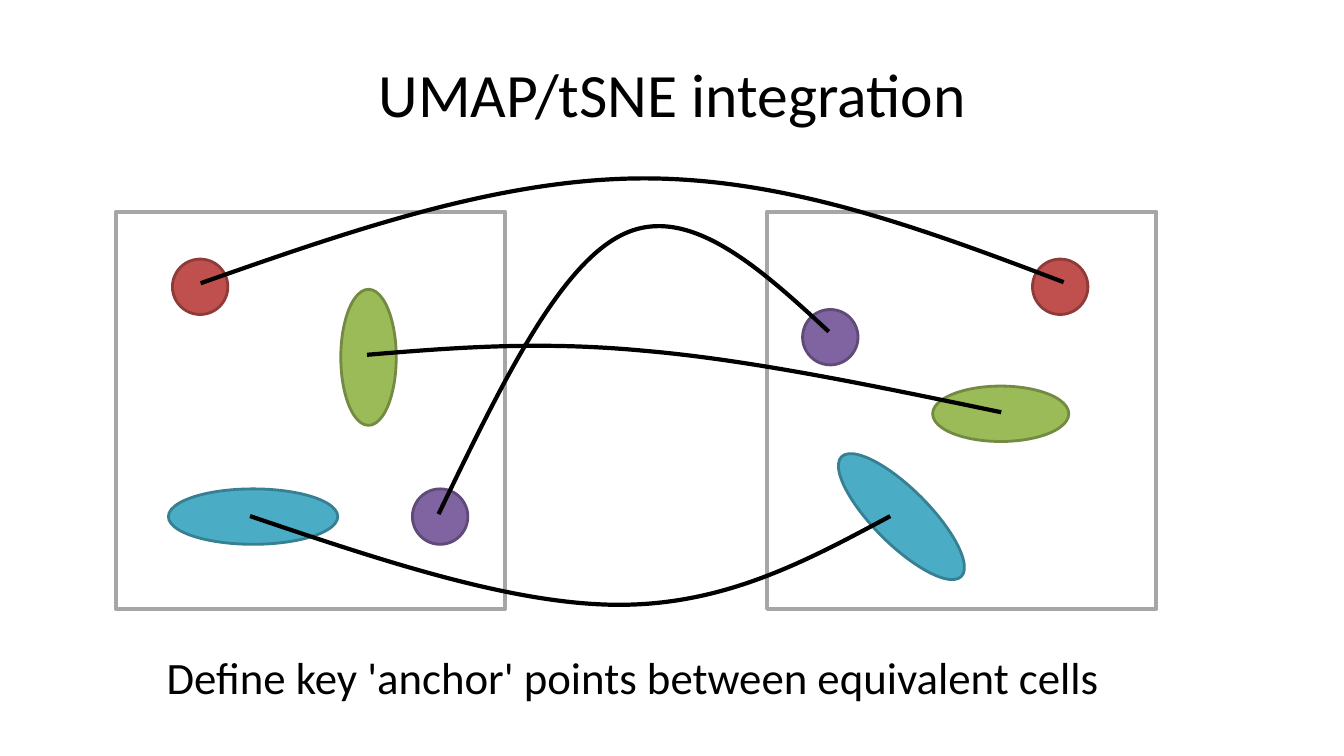
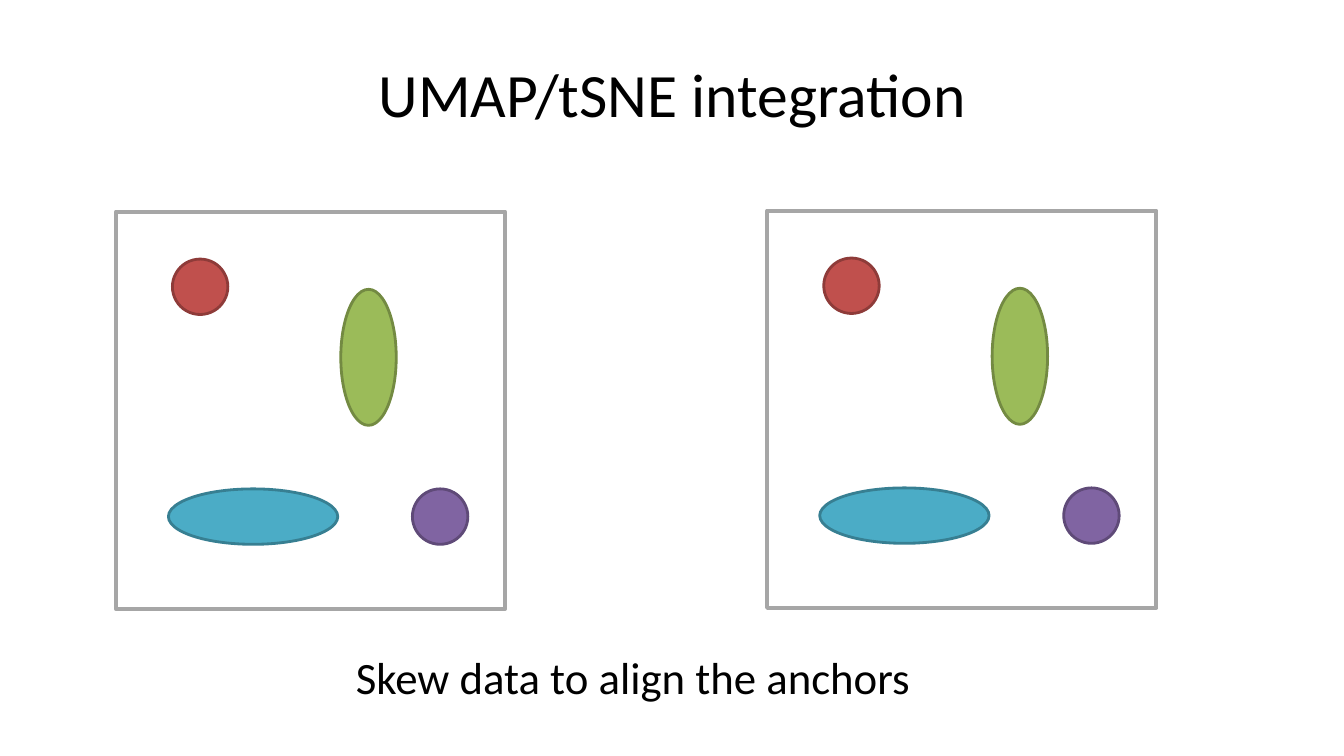
from dataclasses import dataclass

from lxml import etree
from pptx import Presentation
from pptx import util as u
from pptx.dml.color import RGBColor
from pptx.enum import shapes, text
from pptx.oxml.ns import qn


@dataclass(frozen=True)
class Theme:
    font: str = "Calibri"
    title_size: int = 44
    caption_size: int = 32
    panel_line: int = 3
    cluster_line: int = 2
    ink: str = "000000"
    paper: str = "FFFFFF"
    frame: str = "A6A6A6"
    red: tuple = ("C0504D", "8E3B39")
    green: tuple = ("9BBB59", "738A42")
    blue: tuple = ("4BACC6", "377F92")
    purple: tuple = ("8064A2", "5F4A78")


THEME = Theme()
TITLE = "UMAP/tSNE integration"
LEFT_PANEL, RIGHT_PANEL = (1.15, 2.1), (7.61, 2.1)
ALIGNED_PANEL = (7.61, 2.09)
PANEL_SIZE = (3.86, 3.94)
DOT, OVAL, LONG = 0.55, 1.35, 1.68

REFERENCE = [
    (THEME.red, 0.56, 0.47, DOT, DOT, 0),
    (THEME.green, 2.23, 0.77, DOT, OVAL, 0),
    (THEME.blue, 0.52, 2.75, LONG, DOT, 0),
    (THEME.purple, 2.94, 2.75, DOT, DOT, 0),
]
SKEWED = [
    (THEME.red, 2.63, 0.47, DOT, DOT, 0),
    (THEME.green, 2.04, 1.33, DOT, OVAL, 270),
    (THEME.blue, 0.49, 2.75, LONG, DOT, 45),
    (THEME.purple, 0.35, 0.97, DOT, DOT, 0),
]
ANCHORS = [
    [(1.99, 2.81), (3.47, 2.29), (4.96, 1.77), (6.39, 1.77),
     (7.82, 1.77), (9.18, 2.28), (10.55, 2.8)],
    [(3.64, 3.52), (4.49, 3.45), (5.34, 3.38), (6.39, 3.48),
     (7.44, 3.57), (8.68, 3.83), (9.93, 4.09)],
    [(4.35, 5.1), (4.95, 3.86), (5.54, 2.62), (6.19, 2.32),
     (6.83, 2.02), (7.53, 2.65), (8.22, 3.29)],
    [(2.48, 5.12), (3.78, 5.56), (5.09, 6), (6.14, 6),
     (7.2, 6), (8.01, 5.56), (8.83, 5.12)],
]


def set_attrs(target, values):
    for name, value in values.items():
        setattr(target, name, value)


def style_shape(sp, fill, line, width):
    sp.shadow.inherit = False
    if fill:
        sp.fill.solid()
        sp.fill.fore_color.rgb = RGBColor.from_string(fill)
    else:
        sp.fill.background()
    sp.line.color.rgb = RGBColor.from_string(line)
    sp.line.width = u.Pt(width)


def add_text(s, content, box, size, anchor, space_before=0):
    sp = s.shapes.add_textbox(*map(u.Inches, box))
    tf = sp.text_frame
    set_attrs(tf, {"word_wrap": True, "vertical_anchor": anchor})
    p = tf.paragraphs[0]
    set_attrs(p, {"alignment": text.PP_ALIGN.CENTER,
                  "space_before": u.Pt(space_before)})
    r = p.add_run()
    r.text = content
    set_attrs(r.font, {"name": THEME.font, "size": u.Pt(size)})
    r.font.color.rgb = RGBColor.from_string(THEME.ink)


def add_title(s):
    add_text(s, TITLE, (0.67, 0.3, 12, 1.25), THEME.title_size,
             text.MSO_ANCHOR.MIDDLE)


def add_caption(s, content):
    add_text(s, content, (0.28, 6.4, 12, 0.93), THEME.caption_size,
             text.MSO_ANCHOR.TOP, space_before=THEME.caption_size * 0.2)


def add_panel(container, origin, clusters):
    sp = container.shapes.add_shape(shapes.MSO_SHAPE.RECTANGLE,
                                    *map(u.Inches, origin + PANEL_SIZE))
    style_shape(sp, THEME.paper, THEME.frame, THEME.panel_line)
    left, top = origin
    for (fill, line), dx, dy, width, height, rotation in clusters:
        box = (left + dx, top + dy, width, height)
        sp = container.shapes.add_shape(shapes.MSO_SHAPE.OVAL,
                                        *map(u.Inches, box))
        sp.rotation = rotation
        style_shape(sp, fill, line, THEME.cluster_line)


def add_anchor(s, points):
    points = [tuple(map(u.Inches, point)) for point in points]
    builder = s.shapes.build_freeform(*points[0])
    builder.add_line_segments(points[3::3], close=False)
    sp = builder.convert_to_shape()
    for i, segment in enumerate(list(sp.element.iter(qn("a:lnTo")))):
        curve = etree.Element(qn("a:cubicBezTo"))
        for x, y in points[3 * i + 1:3 * i + 4]:
            etree.SubElement(curve, qn("a:pt"),
                             x=str(x - sp.left), y=str(y - sp.top))
        segment.getparent().replace(segment, curve)
    style_shape(sp, None, THEME.ink, THEME.panel_line)


def add_integration_slide(prs, caption, panels, anchors=(), grouped=False):
    s = prs.slides.add_slide(prs.slide_layouts[6])
    add_title(s)
    for origin, clusters in panels:
        container = s.shapes.add_group_shape() if grouped else s
        add_panel(container, origin, clusters)
    for points in anchors:
        add_anchor(s, points)
    add_caption(s, caption)


def main():
    prs = Presentation()
    set_attrs(prs, {"slide_width": u.Inches(13.33), "slide_height": u.Inches(7.5)})
    add_integration_slide(
        prs, "Define key 'anchor' points between equivalent cells",
        [(LEFT_PANEL, REFERENCE), (RIGHT_PANEL, SKEWED)], anchors=ANCHORS)
    add_integration_slide(
        prs, "Skew data to align the anchors",
        [(LEFT_PANEL, REFERENCE), (ALIGNED_PANEL, REFERENCE)], grouped=True)
    prs.save("out.pptx")


if __name__ == "__main__":
    main()
